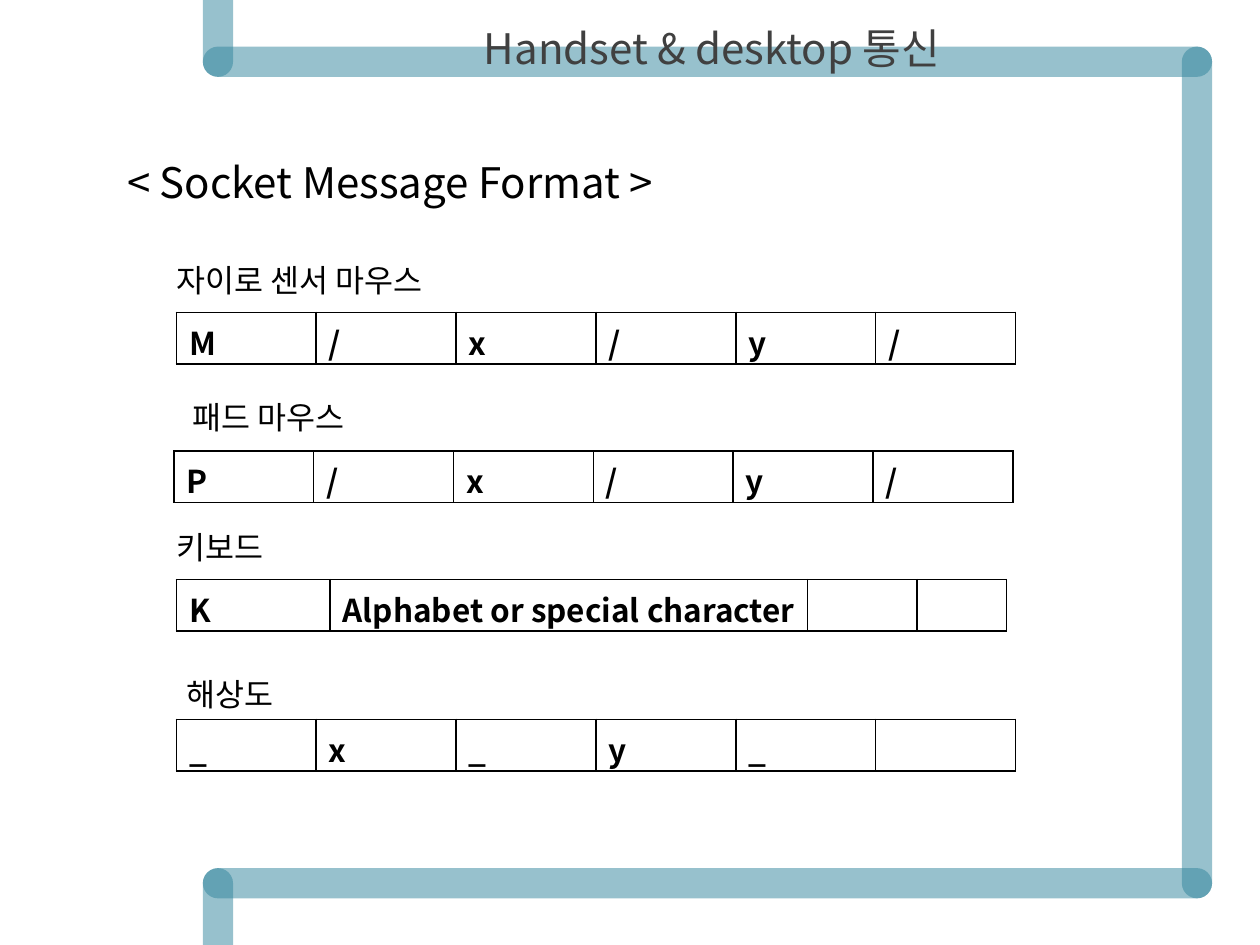
from lxml.etree import SubElement
from pptx import Presentation
from pptx.dml.color import RGBColor
from pptx.enum.shapes import MSO_SHAPE
from pptx.enum.text import MSO_ANCHOR, MSO_AUTO_SIZE, PP_ALIGN
from pptx.oxml import parse_xml
from pptx.oxml.ns import nsdecls, qn
from pptx.util import Inches, Pt

FONT = "Noto Sans CJK KR"
TEAL = RGBColor(0x31, 0x85, 0x9C)
GRAY = RGBColor(0x40, 0x40, 0x40)
BLACK = RGBColor(0, 0, 0)

BAR = 0.24
BAR_LEFT, BAR_RIGHT = 1.61, 9.38
BAR_TOP, BAR_BOTTOM = 0.37, 6.89
STUB = 0.84
ROW_HEIGHT = 0.41
SIX_COLUMNS = [1.11] * 6

MESSAGES = [
    ("자이로 센서 마우스", 1.3, 2.02, 1.4, 2.48, SIX_COLUMNS, ["M", "/", "x", "/", "y", "/"]),
    ("패드 마우스", 1.43, 3.11, 1.38, 3.58, SIX_COLUMNS, ["P", "/", "x", "/", "y", "/"]),
    ("키보드", 1.3, 4.14, 1.4, 4.6, [1.22, 3.79, 0.87, 0.71],
     ["K", "Alphabet or special character", "", ""]),
    ("해상도", 1.38, 5.31, 1.4, 5.71, SIX_COLUMNS, ["_", "x", "_", "y", "_", ""]),
]


def add_run(paragraph, text, size, color=BLACK, bold=False):
    run = paragraph.add_run()
    run.text = text
    run.font.size = Pt(size)
    run.font.bold = bold
    run.font.color.rgb = color
    run.font.name = FONT
    SubElement(run.font._element, qn("a:ea")).set("typeface", FONT)


def add_bar(slide, left, top, width, height):
    shape = slide.shapes.add_shape(
        MSO_SHAPE.ROUNDED_RECTANGLE, Inches(left), Inches(top), Inches(width), Inches(height))
    shape.adjustments[0] = 0.5
    shape.shadow.inherit = False
    shape.fill.solid()
    shape.fill.fore_color.rgb = TEAL
    color = shape.element.spPr.find(qn("a:solidFill")).find(qn("a:srgbClr"))
    SubElement(color, qn("a:alpha")).set("val", "50000")
    shape.line.fill.background()


def add_frame(slide):
    width = BAR_RIGHT + BAR - BAR_LEFT
    add_bar(slide, BAR_LEFT, BAR_TOP + BAR - STUB, BAR, STUB)
    add_bar(slide, BAR_LEFT, BAR_TOP, width, BAR)
    add_bar(slide, BAR_RIGHT, BAR_TOP, BAR, BAR_BOTTOM + BAR - BAR_TOP)
    add_bar(slide, BAR_LEFT, BAR_BOTTOM, BAR, STUB)
    add_bar(slide, BAR_LEFT, BAR_BOTTOM, width, BAR)


def set_title(slide, text):
    title = slide.shapes.title
    title.left, title.top = Inches(3.74), Inches(0.13)
    title.width, title.height = Inches(4.16), Inches(0.5)
    frame = title.text_frame
    frame.word_wrap = True
    frame.auto_size = MSO_AUTO_SIZE.SHAPE_TO_FIT_TEXT
    frame.vertical_anchor = MSO_ANCHOR.TOP
    paragraph = frame.paragraphs[0]
    paragraph.alignment = PP_ALIGN.LEFT
    add_run(paragraph, text, 24, GRAY)
    title.element.getparent().append(title.element)


def add_text(slide, text, left, top, width, height, size, line_spacing=None):
    box = slide.shapes.add_textbox(Inches(left), Inches(top), Inches(width), Inches(height))
    frame = box.text_frame
    frame.word_wrap = True
    frame.auto_size = MSO_AUTO_SIZE.SHAPE_TO_FIT_TEXT
    paragraph = frame.paragraphs[0]
    paragraph.line_spacing = line_spacing
    add_run(paragraph, text, size)


def set_borders(cell):
    properties = cell._tc.get_or_add_tcPr()
    for index, side in enumerate(("lnL", "lnR", "lnT", "lnB")):
        properties.insert(index, parse_xml(
            f'<a:{side} {nsdecls("a")} w="{Pt(1)}"><a:solidFill>'
            f'<a:srgbClr val="{BLACK}"/></a:solidFill></a:{side}>'))


def add_message_table(slide, left, top, widths, fields):
    table = slide.shapes.add_table(
        1, len(widths), Inches(left), Inches(top),
        Inches(sum(widths)), Inches(ROW_HEIGHT)).table
    table.first_row = False
    table.horz_banding = False
    for index, (width, field) in enumerate(zip(widths, fields)):
        table.columns[index].width = Inches(width)
        cell = table.cell(0, index)
        cell.margin_bottom = 0
        cell.fill.background()
        set_borders(cell)
        if field:
            add_run(cell.text_frame.paragraphs[0], field, 18, bold=True)


def main():
    presentation = Presentation()
    presentation.slide_width = Inches(10)
    presentation.slide_height = Inches(7.5)
    slide = presentation.slides.add_slide(presentation.slide_layouts[5])
    add_frame(slide)
    set_title(slide, "Handset & desktop 통신")
    add_text(slide, "< Socket Message Format >", 0.91, 0.99, 6.38, 0.71, 24, 1.5)
    for label, label_left, label_top, left, top, widths, fields in MESSAGES:
        add_text(slide, label, label_left, label_top, 2.76, 0.4, 18)
        add_message_table(slide, left, top, widths, fields)
    presentation.save("out.pptx")


if __name__ == "__main__":
    main()
